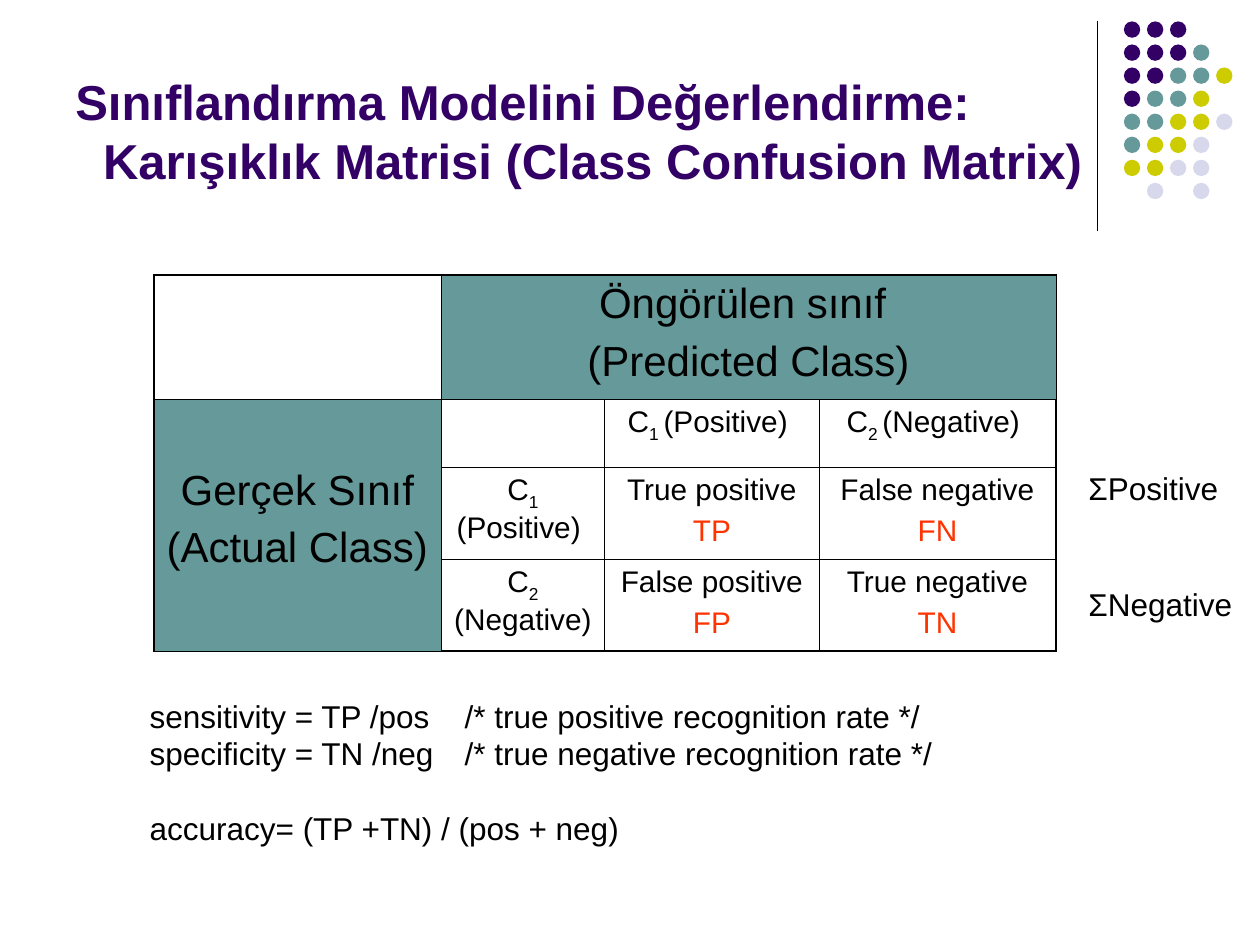
import dataclasses

import pptx
import pptx.dml.color
import pptx.enum.shapes
import pptx.enum.text
import pptx.oxml.ns
import pptx.util
from lxml import etree
from pptx.util import Inches

ALIGN = pptx.enum.text.PP_ALIGN
ANCHOR = pptx.enum.text.MSO_ANCHOR


@dataclasses.dataclass(frozen=True)
class Theme:
    font: str = "Arial"
    purple: str = "330066"
    teal: str = "669999"
    olive: str = "CCCC00"
    lavender: str = "D8D8EC"
    black: str = "000000"
    red: str = "FF3300"
    title: int = 28
    header: int = 24
    body: int = 18
    cell: int = 17
    outer_border: float = 1.08
    inner_border: float = 0.45


THEME = Theme()
DOT_ROWS = ("PPP", "PPPT", "PPTTO", "PTTO", "TTOOL", "TOOL", "OOLL", " L L")
DOT_COLORS = {"P": THEME.purple, "T": THEME.teal, "O": THEME.olive, "L": THEME.lavender}

# Each cell is a list of paragraphs; each paragraph a list of (text, changes) runs.
RED = {"color": THEME.red}
SUBSCRIPT = {"subscript": True}


def class_label(number, name):
    return [[("C", {}), (f"{number} ", SUBSCRIPT), (f"({name}) ", {})]]


def outcome(name, symbol):
    return [[(name, {})], [(symbol, RED)]]


HEADERS = {
    (0, 1): ["Öngörülen sınıf ", "(Predicted Class)"],
    (1, 0): ["Gerçek Sınıf", "(Actual Class)"],
}
CELLS = {
    (1, 2): class_label(1, "Positive"),
    (1, 3): class_label(2, "Negative"),
    (2, 1): class_label(1, "Positive"),
    (2, 2): outcome("True positive", "TP"),
    (2, 3): outcome("False negative", "FN"),
    (3, 1): class_label(2, "Negative"),
    (3, 2): outcome("False positive", "FP"),
    (3, 3): outcome("True negative", "TN"),
}


def rgb(color):
    return pptx.dml.color.RGBColor.from_string(color)


def set_attributes(target, values):
    for name, value in values.items():
        setattr(target, name, value)


def style_run(run, size, color=THEME.black, bold=False, subscript=False):
    set_attributes(run.font, {"name": THEME.font, "size": pptx.util.Pt(size), "bold": bold})
    run.font.color.rgb = rgb(color)
    if subscript:
        run._r.get_or_add_rPr().set("baseline", "-25000")


def write_paragraphs(frame, paragraphs, size, **format_values):
    for index, runs in enumerate(paragraphs):
        paragraph = frame.paragraphs[0] if index == 0 else frame.add_paragraph()
        set_attributes(paragraph, format_values)
        for text, changes in runs:
            run = paragraph.add_run()
            run.text = text
            style_run(run, size, **changes)


def add_text_frame(slide, left, top, width, height, anchor=ANCHOR.TOP):
    box = slide.shapes.add_textbox(Inches(left), Inches(top), Inches(width), Inches(height))
    set_attributes(box.text_frame, {"word_wrap": True, "vertical_anchor": anchor})
    return box.text_frame


def set_indent(paragraph, margin, first_line=0.0):
    properties = paragraph._p.get_or_add_pPr()
    properties.set("marL", str(Inches(margin)))
    properties.set("indent", str(Inches(first_line)))
    return properties


def add_tab_stop(properties, position):
    tabs = etree.SubElement(properties, pptx.oxml.ns.qn("a:tabLst"))
    etree.SubElement(tabs, pptx.oxml.ns.qn("a:tab"), pos=str(Inches(position)), algn="l")


def add_title(slide, left, top, width, height):
    frame = add_text_frame(slide, left, top, width, height, ANCHOR.BOTTOM)
    paragraph = frame.paragraphs[0]
    set_indent(paragraph, 0.22, -0.22)
    lines = ("Sınıflandırma Modelini Değerlendirme:", "Karışıklık Matrisi (Class Confusion Matrix)")
    for index, line in enumerate(lines):
        if index:
            paragraph.add_line_break()
        run = paragraph.add_run()
        run.text = line
        style_run(run, THEME.title, THEME.purple, bold=True)


def add_corner_ornament(slide, left, top, height):
    """Vertical rule with a grid of coloured dots on its right."""
    rule = slide.shapes.add_connector(
        pptx.enum.shapes.MSO_CONNECTOR.STRAIGHT,
        Inches(left), Inches(top), Inches(left), Inches(top + height))
    rule.line.color.rgb = rgb(THEME.black)
    rule.line.width = pptx.util.Pt(0.75)
    etree.SubElement(rule._element.spPr, pptx.oxml.ns.qn("a:effectLst"))
    pitch, diameter, gap = 0.183, 0.13, 0.21
    for row, codes in enumerate(DOT_ROWS):
        for column, code in enumerate(codes):
            if code == " ":
                continue
            dot = slide.shapes.add_shape(
                pptx.enum.shapes.MSO_SHAPE.OVAL,
                Inches(left + gap + column * pitch), Inches(top + row * pitch),
                Inches(diameter), Inches(diameter))
            dot.shadow.inherit = False
            dot.fill.solid()
            dot.fill.fore_color.rgb = rgb(DOT_COLORS[code])
            dot.line.fill.background()


def add_cell_borders(cell, outer_sides):
    properties = cell._tc.get_or_add_tcPr()
    for side in "LRTB":
        points = THEME.outer_border if side in outer_sides else THEME.inner_border
        line = etree.SubElement(
            properties, pptx.oxml.ns.qn(f"a:ln{side}"), w=str(pptx.util.Pt(points)))
        fill = etree.SubElement(line, pptx.oxml.ns.qn("a:solidFill"))
        etree.SubElement(fill, pptx.oxml.ns.qn("a:srgbClr"), val=THEME.black)


def add_confusion_matrix(slide, left, top):
    widths, heights = (2.28, 1.3, 1.7, 1.88), (0.99, 0.54, 0.73, 0.73)
    last_row, last_column = len(heights) - 1, len(widths) - 1
    table = slide.shapes.add_table(
        len(heights), len(widths), Inches(left), Inches(top),
        Inches(sum(widths)), Inches(sum(heights))).table
    set_attributes(table, {"first_row": False, "horz_banding": False})
    for column, width in zip(table.columns, widths):
        column.width = Inches(width)
    for row, height in zip(table.rows, heights):
        row.height = Inches(height)
    table.cell(0, 1).merge(table.cell(0, last_column))
    table.cell(1, 0).merge(table.cell(last_row, 0))

    for row in range(len(heights)):
        for column in range(len(widths)):
            cell = table.cell(row, column)
            edges = {"L": column == 0, "R": column == last_column,
                     "T": row == 0, "B": row == last_row}
            add_cell_borders(cell, [side for side, outer in edges.items() if outer])
            cell.fill.background()
            write_paragraphs(cell.text_frame, CELLS.get((row, column), []), THEME.cell,
                             alignment=ALIGN.CENTER, space_before=pptx.util.Pt(4.2))
    for position, lines in HEADERS.items():
        cell = table.cell(*position)
        cell.fill.solid()
        cell.fill.fore_color.rgb = rgb(THEME.teal)
        write_paragraphs(cell.text_frame, [[(line, {})] for line in lines], THEME.header,
                         alignment=ALIGN.CENTER, space_before=pptx.util.Pt(6))
    table.cell(1, 0).margin_top = Inches(0.54)


def add_measures(slide, left, top, width, height):
    frame = add_text_frame(slide, left, top, width, height)
    lines = ("sensitivity = TP /pos\t/* true positive recognition rate */",
             "specificity = TN /neg\t/* true negative recognition rate */",
             "accuracy= (TP +TN) / (pos + neg)")
    write_paragraphs(frame, [[(line, {})] for line in lines], THEME.body)
    frame.paragraphs[-1].space_before = pptx.util.Pt(21)
    for paragraph in frame.paragraphs:
        add_tab_stop(set_indent(paragraph, 0.5), 3.64)


def add_row_totals(slide, left, top, width, height):
    frame = add_text_frame(slide, left, top, width, height)
    write_paragraphs(frame, [[("ΣPositive", {})], [("ΣNegative", {})]], THEME.body)
    frame.paragraphs[-1].space_before = pptx.util.Pt(45)


def main():
    presentation = pptx.Presentation()
    set_attributes(presentation, {"slide_width": Inches(10), "slide_height": Inches(7.5)})
    slide = presentation.slides.add_slide(presentation.slide_layouts[6])
    add_corner_ornament(slide, 8.71, 0.17, 1.66)
    add_title(slide, 0.5, 0.13, 8.25, 1.42)
    add_confusion_matrix(slide, 1.22, 2.18)
    add_measures(slide, 0.59, 5.48, 8.9, 1.6)
    add_row_totals(slide, 8.54, 3.67, 1.46, 1.32)
    presentation.save("out.pptx")


if __name__ == "__main__":
    main()
